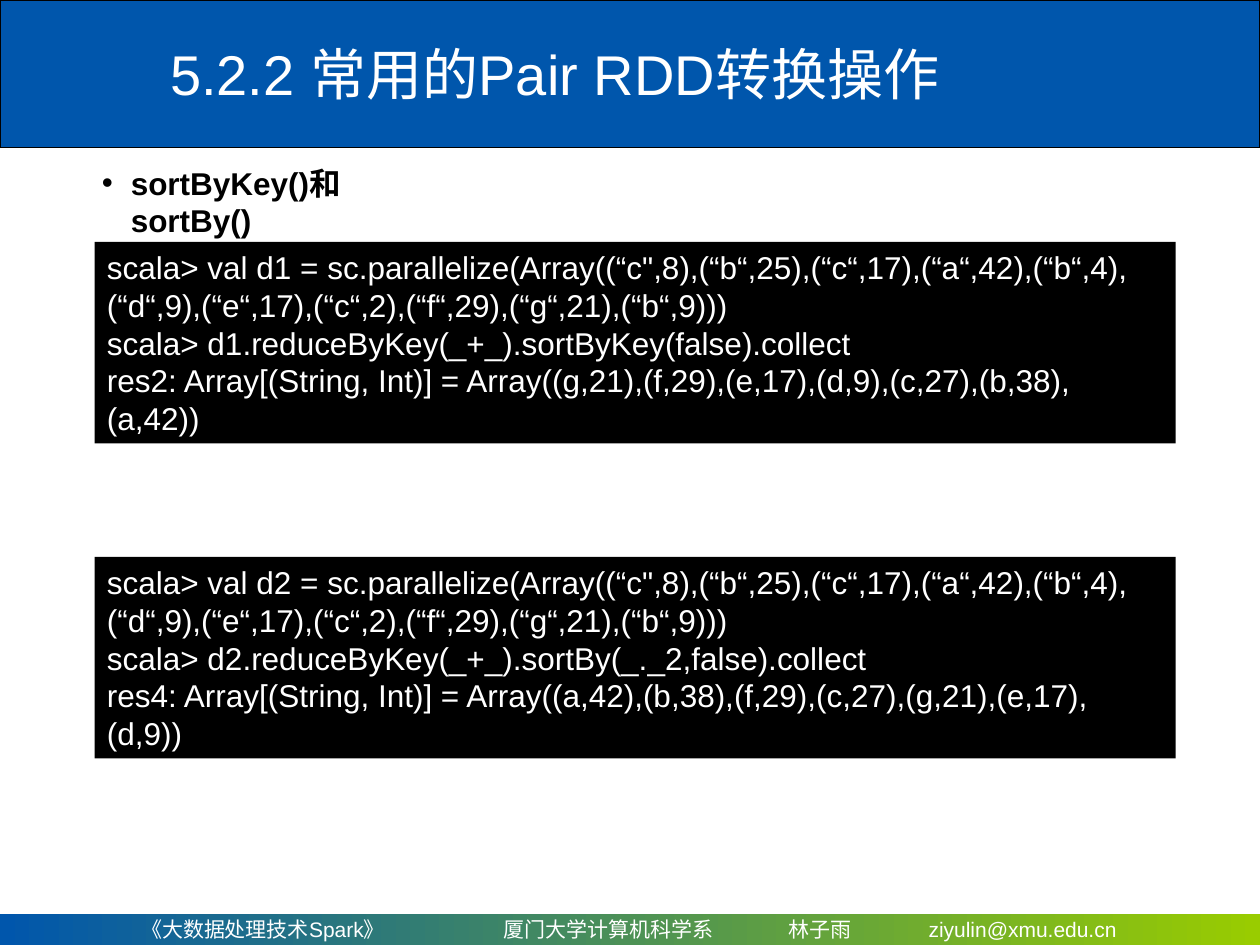
from lxml.etree import SubElement
from pptx import Presentation
from pptx.dml.color import RGBColor
from pptx.enum.shapes import MSO_SHAPE
from pptx.enum.text import MSO_ANCHOR, PP_ALIGN
from pptx.oxml.ns import qn
from pptx.util import Inches, Pt

HUES = {"blue": "0056AC", "green": "99CC00", "black": "000000", "white": "FFFFFF"}


def hue(name):
    return RGBColor.from_string(HUES[name])


def write(frame, *lines, size=18, color="white", bold=False, anchor=MSO_ANCHOR.TOP):
    frame.word_wrap = True
    frame.vertical_anchor = anchor
    for i, line in enumerate(lines):
        para = frame.add_paragraph() if i else frame.paragraphs[0]
        para.alignment = PP_ALIGN.LEFT
        run = para.add_run()
        run.text = line
        run.font.name = "Arial"
        run.font.size = Pt(size)
        run.font.bold = bold
        run.font.color.rgb = hue(color)


prs = Presentation()
prs.slide_width, prs.slide_height = Inches(10), Inches(7.5)
slide = prs.slides.add_slide(prs.slide_layouts[5])
shapes = slide.shapes
title = shapes.title

band = shapes.add_shape(MSO_SHAPE.RECTANGLE, 0, 0, Inches(10), Inches(1.17))
band.shadow.inherit = False
band.fill.solid()
band.fill.fore_color.rgb = hue("blue")
band.line.color.rgb = hue("black")
band.line.width = Pt(0.75)
band.element.addnext(title.element)

title.left, title.top = Inches(1.25), Inches(0.08)
title.width, title.height = Inches(8.75), Inches(1)
write(title.text_frame, "5.2.2 常用的Pair RDD转换操作", size=32, anchor=MSO_ANCHOR.MIDDLE)

foot = shapes.add_shape(MSO_SHAPE.RECTANGLE, 0, Inches(7.25), Inches(10), Inches(0.25))
foot.shadow.inherit = False
foot.line.fill.background()
foot.fill.gradient()
foot.fill.gradient_angle = 0
for stop, name, pos in zip(foot.fill.gradient_stops, ("blue", "green"), (0, 1)):
    stop.color.rgb = hue(name)
    stop.position = pos
foot.text_frame.margin_left = Inches(1.12)
write(foot.text_frame, "《大数据处理技术Spark》\t厦门大学计算机科学系\t林子雨\tziyulin@xmu.edu.cn",
      size=12, anchor=MSO_ANCHOR.MIDDLE)
tabs = SubElement(foot.text_frame.paragraphs[0]._p.get_or_add_pPr(), qn("a:tabLst"))
for pos in (2.88, 5.14, 6.25):
    SubElement(tabs, qn("a:tab"), pos=str(Inches(pos)), algn="l")

head = shapes.add_textbox(Inches(0.71), Inches(1.25), Inches(3.03), Inches(0.4))
write(head.text_frame, "sortByKey()和sortBy()", color="black", bold=True)
props = head.text_frame.paragraphs[0]._p.get_or_add_pPr()
props.set("marL", str(Inches(0.23)))
props.set("indent", str(-Inches(0.23)))
SubElement(props, qn("a:buFont"), typeface="Arial")
SubElement(props, qn("a:buChar"), char="•")

pairs = '(“c",8),(“b“,25),(“c“,17),(“a“,42),(“b“,4),(“d“,9),(“e“,17),(“c“,2),(“f“,29),(“g“,21),(“b“,9)'
demos = [
    (1.92, "d1", "sortByKey(false)", "res2", "(g,21),(f,29),(e,17),(d,9),(c,27),(b,38),(a,42)"),
    (4.42, "d2", "sortBy(_._2,false)", "res4", "(a,42),(b,38),(f,29),(c,27),(g,21),(e,17),(d,9)"),
]
for top, var, sort, res, out in demos:
    box = shapes.add_shape(MSO_SHAPE.RECTANGLE, Inches(0.75), Inches(top), Inches(8.58), Inches(1.6))
    box.shadow.inherit = False
    box.fill.solid()
    box.fill.fore_color.rgb = hue("black")
    box.line.fill.background()
    write(box.text_frame,
          f"scala> val {var} = sc.parallelize(Array({pairs}))",
          f"scala> {var}.reduceByKey(_+_).{sort}.collect",
          f"{res}: Array[(String, Int)] = Array({out})")

prs.save("out.pptx")
